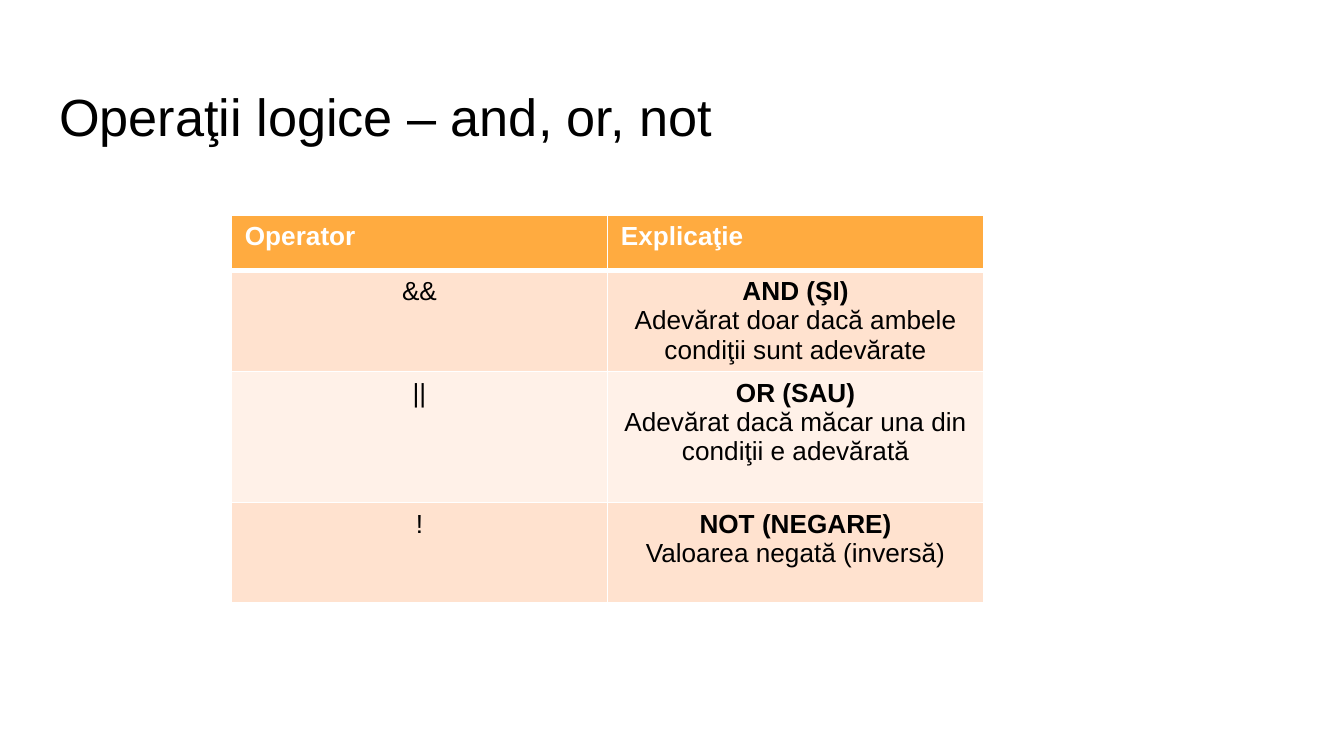
from lxml import etree
from pptx import Presentation, util as u
from pptx.dml.color import RGBColor
from pptx.enum import text
from pptx.oxml import ns

COLORS = {"ink": "000000", "white": "FFFFFF", "header": "FFAB40",
          "peach": "FFE2CF", "pale": "FFF1E8"}
OPERATORS = [
    ("&&", "AND (ŞI)", "Adevărat doar dacă ambele condiţii sunt adevărate", "peach", 54.3),
    ("||", "OR (SAU)", "Adevărat dacă măcar una din condiţii e adevărată", "pale", 70.2),
    ("!", "NOT (NEGARE)", "Valoarea negată (inversă)", "peach", 53.9),
]


def write(paragraph, wording, size=14, color="ink", bold=False, align=text.PP_ALIGN.CENTER):
    """Write formatted wording into a paragraph."""
    paragraph.alignment = align
    run = paragraph.add_run()
    run.text = wording
    run.font.name = "Arial"
    run.font.size = u.Pt(size)
    run.font.bold = bold
    run.font.color.rgb = RGBColor.from_string(COLORS[color])


class Deck:
    """Hold the slide style and the current slide."""

    def __init__(self, width, height):
        """Open a deck with one title-only slide."""
        self.deck = Presentation()
        self.deck.slide_width, self.deck.slide_height = u.Pt(width), u.Pt(height)
        self.slide = self.deck.slides.add_slide(self.deck.slide_layouts[5])

    def title(self, wording, left, top, width, height):
        """Place and fill the title."""
        heading = self.slide.shapes.title
        heading.left, heading.top = u.Pt(left), u.Pt(top)
        heading.width, heading.height = u.Pt(width), u.Pt(height)
        frame = heading.text_frame
        frame.auto_size = text.MSO_AUTO_SIZE.NONE
        frame.vertical_anchor = text.MSO_ANCHOR.TOP
        frame.margin_left = frame.margin_right = u.Pt(7.2)
        frame.margin_top, frame.margin_bottom = u.Pt(10), u.Pt(3)
        write(frame.paragraphs[0], wording, size=28, align=text.PP_ALIGN.LEFT)

    def table(self, left, top, column_width, row_heights):
        """Add a two-column table and return it."""
        frame = self.slide.shapes.add_table(
            len(row_heights), 2, u.Pt(left), u.Pt(top),
            u.Pt(2 * column_width), u.Pt(sum(row_heights)))
        for column in frame.table.columns:
            column.width = u.Pt(column_width)
        for row, height in zip(frame.table.rows, row_heights):
            row.height = u.Pt(height)
        return frame.table

    def cell(self, cell, lines, fill, top=1, bottom=1, **style):
        """Fill a cell with (wording, bold) lines and white borders."""
        properties = cell._tc.get_or_add_tcPr()
        for side, weight in {"lnL": 1, "lnR": 1, "lnT": top, "lnB": bottom}.items():
            border = etree.SubElement(properties, ns.qn(f"a:{side}"), w=str(u.Pt(weight)))
            solid = etree.SubElement(border, ns.qn("a:solidFill"))
            etree.SubElement(solid, ns.qn("a:srgbClr"), val=COLORS["white"])
        cell.fill.solid()
        cell.fill.fore_color.rgb = RGBColor.from_string(COLORS[fill])
        for index, (wording, bold) in enumerate(lines):
            frame = cell.text_frame
            paragraph = frame.add_paragraph() if index else frame.paragraphs[0]
            write(paragraph, wording, bold=bold, **style)


def main():
    """Build the logical operators slide."""
    deck = Deck(720, 405)
    deck.title("Operaţii logice – and, or, not", 24.5, 35.3, 671, 45.4)
    operators = deck.table(124, 115.2, 201.5, [29.5] + [row[-1] for row in OPERATORS])
    for column, heading in enumerate(("Operator", "Explicaţie")):
        deck.cell(operators.cell(0, column), [(heading, True)], "header", bottom=3,
                  color="white", align=text.PP_ALIGN.LEFT)
    for row, (symbol, name, meaning, fill, _) in enumerate(OPERATORS, 1):
        top = 3 if row == 1 else 1
        deck.cell(operators.cell(row, 0), [(symbol, False)], fill, top=top)
        deck.cell(operators.cell(row, 1), [(name, True), (meaning, False)], fill, top=top)
    deck.deck.save("out.pptx")


if __name__ == "__main__":
    main()
